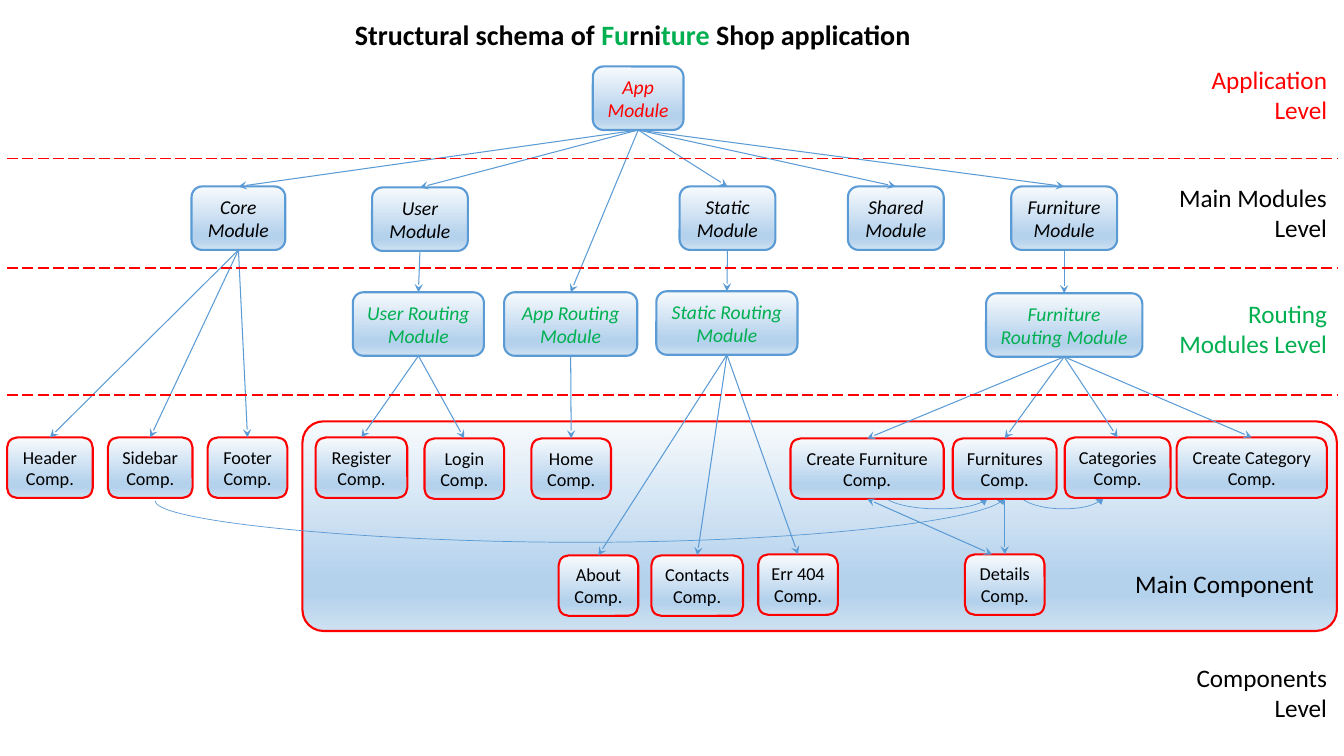
from typing import Any, NamedTuple

from lxml.etree import SubElement
from pptx import Presentation
from pptx.dml.color import RGBColor
from pptx.enum.dml import MSO_LINE_DASH_STYLE as Dash
from pptx.enum.shapes import MSO_AUTO_SHAPE_TYPE as ShapeType
from pptx.enum.shapes import MSO_CONNECTOR_TYPE as ConnectorType
from pptx.enum.text import MSO_VERTICAL_ANCHOR as Anchor
from pptx.enum.text import PP_PARAGRAPH_ALIGNMENT as Align
from pptx.oxml.ns import qn
from pptx.shapes.autoshape import Shape
from pptx.shapes.connector import Connector
from pptx.slide import Slide
from pptx.util import Inches, Pt

COLORS = {"black": "000000", "red": "FF0000", "green": "00B050", "blue": "5B9BD5"}
GRADIENT = {0: "F7FAFD", 74: "B5D2EC", 83: "B5D2EC", 100: "CEE1F2"}
BOTTOM, TOP = 2, 0

MODULE_FONT = {"name": "Calibri", "size": Pt(14), "italic": True}
COMPONENT_FONT = {"name": "Calibri", "size": Pt(13)}
LABEL_FONT = {"name": "Calibri", "size": Pt(18)}
TITLE_FONT = {"name": "Calibri", "size": Pt(20), "bold": True}


class BoxStyle(NamedTuple):
    suffix: str
    height: float
    outline: str
    font: dict[str, Any]


class Box(NamedTuple):
    name: str
    left: float
    top: float
    width: float
    color: str = "black"


class Label(NamedTuple):
    text: str
    left: float
    top: float
    width: float
    height: float
    color: str = "black"
    align: Align = Align.RIGHT
    wrap: bool = True


class Curve(NamedTuple):
    start: tuple[float, float]
    end: tuple[float, float]
    drop: float


MODULE = BoxStyle(" Module", 0.63, "blue", MODULE_FONT)
COMPONENT = BoxStyle(" Comp.", 0.6, "red", COMPONENT_FONT)

MODULES = [
    Box("App", 5.88, 0.66, 0.9, "red"),
    Box("Core", 1.9, 1.85, 0.93),
    Box("User", 3.69, 1.86, 0.95),
    Box("Static", 6.74, 1.85, 0.95),
    Box("Shared", 8.41, 1.85, 0.95),
    Box("Furniture", 10.03, 1.85, 1.05),
    Box("User Routing", 3.5, 2.9, 1.3, "green"),
    Box("App Routing", 5, 2.9, 1.32, "green"),
    Box("Static Routing", 6.51, 2.89, 1.4, "green"),
    Box("Furniture Routing", 9.78, 2.91, 1.55, "green"),
]
COMPONENTS = [
    Box("Header", 0.07, 4.34, 0.85),
    Box("Sidebar", 1.07, 4.34, 0.84),
    Box("Footer", 2.06, 4.34, 0.79),
    Box("Register", 3.13, 4.34, 0.91),
    Box("Login", 4.21, 4.35, 0.79),
    Box("Home", 5.27, 4.35, 0.79),
    Box("Create Furniture", 7.84, 4.35, 1.52),
    Box("Furnitures", 9.45, 4.35, 1.03),
    Box("Categories", 10.56, 4.34, 1.05),
    Box("Create Category", 11.67, 4.34, 1.49),
    Box("About", 5.54, 5.51, 0.79),
    Box("Contacts", 6.46, 5.51, 0.91),
    Box("Err 404", 7.52, 5.5, 0.79),
    Box("Details", 9.57, 5.5, 0.79),
]
CHILDREN = {
    "App": ["App Routing", "Core", "User", "Shared", "Static", "Furniture"],
    "Core": ["Header", "Sidebar", "Footer"],
    "User": ["User Routing"],
    "Static": ["Static Routing"],
    "Furniture": ["Furniture Routing"],
    "User Routing": ["Register", "Login"],
    "App Routing": ["Home"],
    "Static Routing": ["About", "Contacts", "Err 404"],
    "Furniture Routing": ["Create Furniture", "Furnitures", "Categories", "Create Category"],
    "Furnitures": ["Details"],
}
CURVES = [
    Curve((10.12, 4.91), (10.95, 4.92), 0.14),
    Curve((8.78, 4.92), (9.8, 4.93), 0.13),
    Curve((1.54, 4.97), (9.97, 4.92), 0.41),
]
LABELS = [
    Label("Main Component", 11.16, 5.59, 2, 0.4, align=Align.LEFT, wrap=False),
    Label("Application Level", 11.84, 0.59, 1.42, 0.71, "red"),
    Label("Main Modules Level", 11.53, 1.76, 1.73, 0.71),
    Label("Routing Modules Level", 11.53, 2.91, 1.73, 0.71, "green"),
    Label("Components Level", 11.53, 6.52, 1.73, 0.71),
]
DIVIDERS = [1.57, 2.66, 3.92]
TITLE_RUNS = [
    ("Structural schema of ", "black"),
    ("Fu", "green"),
    ("rni", "black"),
    ("ture ", "green"),
    ("Shop application", "black"),
]


def rgb(color: str) -> RGBColor:
    return RGBColor.from_string(COLORS[color])


def apply_format(target: Any, values: dict[str, Any]) -> None:
    for name, value in values.items():
        setattr(target, name, value)


def add_text(shape: Shape, runs: list[tuple[str, str]], font: dict[str, Any], align: Align) -> None:
    paragraph = shape.text_frame.paragraphs[0]
    paragraph.alignment = align
    for text, color in runs:
        run = paragraph.add_run()
        run.text = text
        apply_format(run.font, font)
        run.font.color.rgb = rgb(color)


def add_panel(slide: Slide, left: float, top: float, width: float, height: float, outline: str) -> Shape:
    shape = slide.shapes.add_shape(
        ShapeType.ROUNDED_RECTANGLE, Inches(left), Inches(top), Inches(width), Inches(height)
    )
    shape.shadow.inherit = False
    shape.fill.gradient()
    shape.fill.gradient_angle = 270
    stops = shape._element.spPr.find(qn("a:gradFill")).find(qn("a:gsLst"))
    stops.clear()
    for position, color in GRADIENT.items():
        stop = SubElement(stops, qn("a:gs"), pos=str(position * 1000))
        SubElement(stop, qn("a:srgbClr"), val=color)
    shape.line.color.rgb = rgb(outline)
    shape.line.width = Pt(1.5)
    return shape


def add_box(slide: Slide, box: Box, style: BoxStyle) -> Shape:
    shape = add_panel(slide, box.left, box.top, box.width, style.height, style.outline)
    shape.text_frame.word_wrap = True
    shape.text_frame.vertical_anchor = Anchor.MIDDLE
    add_text(shape, [(box.name + style.suffix, box.color)], style.font, Align.CENTER)
    return shape


def add_line(
    slide: Slide, start: tuple[float, float], end: tuple[float, float], color: str = "blue",
    width: float = 0.75, kind: ConnectorType = ConnectorType.STRAIGHT,
) -> Connector:
    connector = slide.shapes.add_connector(kind, *(Inches(value) for value in (*start, *end)))
    SubElement(connector._element.spPr, qn("a:effectLst"))
    connector.line.color.rgb = rgb(color)
    connector.line.width = Pt(width)
    return connector


def add_arrowheads(connector: Connector, **heads: str) -> None:
    for end, kind in heads.items():
        SubElement(connector.line._get_or_add_ln(), qn(f"a:{end}"), type=kind)


def add_curve(slide: Slide, curve: Curve) -> None:
    (left, start_y), (right, end_y) = curve.start, curve.end
    center_x, center_y = (left + right) / 2, (start_y + end_y) / 2
    half_span, half_rise = (right - left) / 2, (end_y - start_y) / 2
    connector = add_line(
        slide, (center_x + half_rise, center_y - half_span), (center_x - half_rise, center_y + half_span),
        width=0.5, kind=ConnectorType.CURVE,
    )
    properties = connector._element.spPr
    properties.find(qn("a:xfrm")).set("rot", str(270 * 60000))
    adjustments = properties.find(qn("a:prstGeom")).find(qn("a:avLst"))
    bend = round(curve.drop / (end_y - start_y) * 100000)
    SubElement(adjustments, qn("a:gd"), name="adj1", fmla=f"val {bend}")
    add_arrowheads(connector, tailEnd="triangle")


def add_label(slide: Slide, label: Label) -> None:
    shape = slide.shapes.add_textbox(*(Inches(value) for value in label[1:5]))
    shape.text_frame.word_wrap = label.wrap
    add_text(shape, [(label.text, label.color)], LABEL_FONT, label.align)


def add_title(slide: Slide) -> None:
    title = slide.shapes.title
    apply_format(
        title, {"left": Inches(3.24), "top": Inches(0.09), "width": Inches(6.07), "height": Inches(0.47)}
    )
    title.text_frame.vertical_anchor = Anchor.BOTTOM
    title.text_frame.paragraphs[0].line_spacing = 0.9
    add_text(title, TITLE_RUNS, TITLE_FONT, Align.CENTER)


def main() -> None:
    presentation = Presentation()
    apply_format(presentation, {"slide_width": Inches(13.33), "slide_height": Inches(7.5)})
    slide = presentation.slides.add_slide(presentation.slide_layouts[5])
    add_title(slide)
    add_panel(slide, 3, 4.18, 10.26, 2.08, "red").adjustments[0] = 0.1
    for curve in CURVES:
        add_curve(slide, curve)
    boxes = {
        box.name: add_box(slide, box, style)
        for style, group in ((MODULE, MODULES), (COMPONENT, COMPONENTS))
        for box in group
    }
    for parent, children in CHILDREN.items():
        for child in children:
            arrow = add_line(slide, (0, 0), (1, 1))
            arrow.begin_connect(boxes[parent], BOTTOM)
            arrow.end_connect(boxes[child], TOP)
            add_arrowheads(arrow, tailEnd="stealth")
    details_arrow = add_line(slide, (8.6, 4.95), (9.84, 5.5))
    details_arrow.begin_connect(boxes["Create Furniture"], BOTTOM)
    add_arrowheads(details_arrow, headEnd="stealth", tailEnd="stealth")
    for height in DIVIDERS:
        add_line(slide, (0.07, height), (13.26, height), "red", 1).line.dash_style = Dash.LONG_DASH
    for label in LABELS:
        add_label(slide, label)
    presentation.save("out.pptx")


if __name__ == "__main__":
    main()
